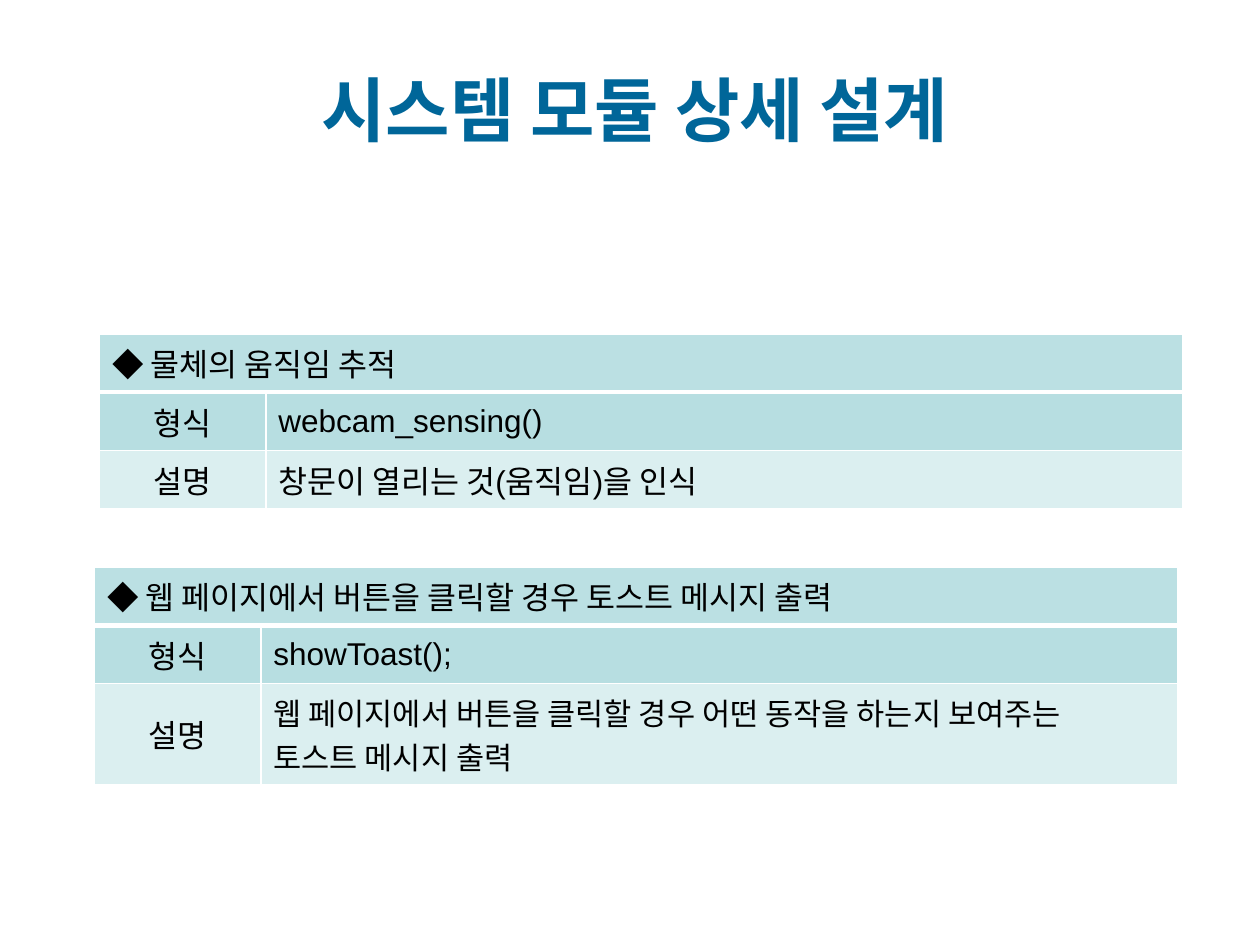
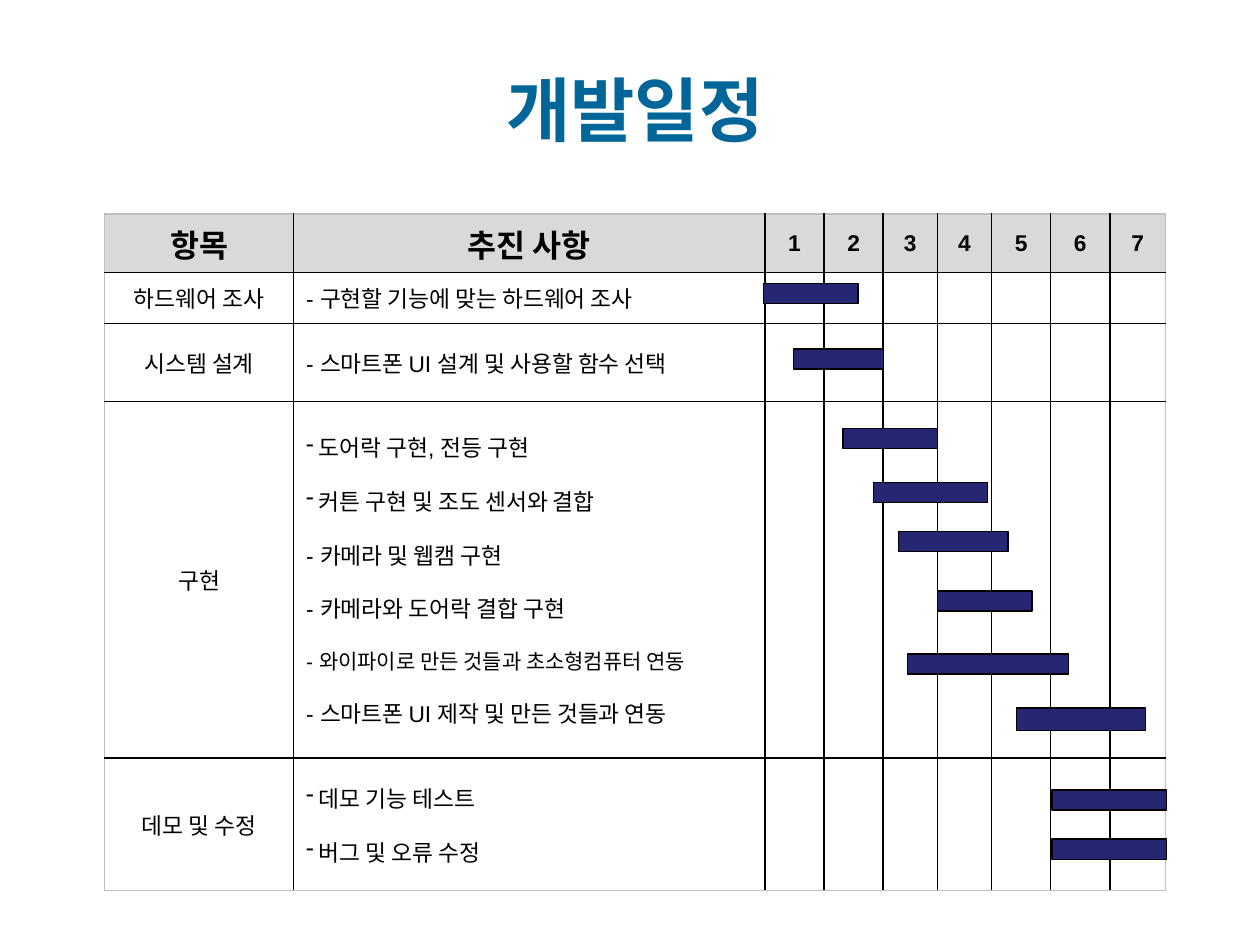
from dataclasses import dataclass
from typing import Optional

from lxml.etree import SubElement
from pptx import Presentation
from pptx.dml.color import RGBColor
from pptx.enum.shapes import MSO_SHAPE as Shape
from pptx.enum.text import MSO_ANCHOR as Anchor, MSO_AUTO_SIZE as AutoSize, PP_ALIGN as Align
from pptx.oxml.ns import qn
from pptx.util import Emu, Pt

PX = 9144
TITLE_FONT = "League Spartan"
BODY_FONT = "Arial"
TITLE_BLUE = RGBColor(0x00, 0x66, 0x99)
BLACK = RGBColor(0x00, 0x00, 0x00)
WHITE = RGBColor(0xFF, 0xFF, 0xFF)
EDGE_GRAY = RGBColor(0xBF, 0xBF, 0xBF)
HEADER_GRAY = RGBColor(0xD9, 0xD9, 0xD9)
BAR_NAVY = RGBColor(0x26, 0x26, 0x73)
TEAL_HEADING = RGBColor(0xBB, 0xE0, 0xE3)
TEAL_DARK = RGBColor(0xB7, 0xDE, 0xE1)
TEAL_LIGHT = RGBColor(0xDB, 0xEF, 0xF0)


@dataclass(frozen=True)
class Line:
    text: str
    size: float = 13
    bulleted: bool = False


@dataclass(frozen=True)
class Module:
    left: int
    top: int
    heading: str
    form: str
    description: tuple[Line, ...]
    heights: tuple[int, ...]


@dataclass(frozen=True)
class Phase:
    name: str
    tasks: tuple[Line, ...]
    height: int


@dataclass(frozen=True)
class Bar:
    left: int
    top: int
    width: int
    height: int = 16


MODULES = (
    Module(79, 265, "◆ 물체의 움직임 추적", "webcam_sensing()",
           (Line("창문이 열리는 것(움직임)을 인식", 18),), (46, 46, 46)),
    Module(75, 450, "◆ 웹 페이지에서 버튼을 클릭할 경우 토스트 메시지 출력", "showToast();",
           (Line("웹 페이지에서 버튼을 클릭할 경우 어떤 동작을 하는지 보여주는", 17.5),
            Line("토스트 메시지 출력", 17.5)), (46, 46, 80)),
)
MODULE_COLUMNS = (132, 728)

PHASES = (
    Phase("하드웨어 조사", (Line("- 구현할 기능에 맞는 하드웨어 조사"),), 40),
    Phase("시스템 설계", (Line("- 스마트폰 UI 설계 및 사용할 함수 선택"),), 62),
    Phase("구현", (
        Line("도어락 구현, 전등 구현", bulleted=True),
        Line("커튼 구현 및 조도 센서와 결합", bulleted=True),
        Line("- 카메라 및 웹캠 구현"),
        Line("- 카메라와 도어락 결합 구현"),
        Line("- 와이파이로 만든 것들과 초소형컴퓨터 연동", 12),
        Line("- 스마트폰 UI 제작 및 만든 것들과 연동"),
    ), 283),
    Phase("데모 및 수정", (
        Line("데모 기능 테스트", bulleted=True),
        Line("버그 및 오류 수정", bulleted=True),
    ), 105),
)
SCHEDULE_COLUMNS = (150, 374, 47, 47, 43, 43, 47, 47, 44)
BARS = (
    Bar(606, 225, 75), Bar(630, 277, 71), Bar(669, 340, 75), Bar(693, 383, 91),
    Bar(713, 422, 87), Bar(744, 469, 75), Bar(720, 519, 128),
    Bar(807, 562, 102, 18), Bar(835, 627, 91), Bar(835, 666, 91),
)


def px(length: int) -> Emu:
    return Emu(length * PX)


def write(para, text: str, *, size: float = 18, font: str = BODY_FONT,
          color: RGBColor = BLACK, bold: bool = False, align=Align.LEFT) -> None:
    para.alignment = align
    span = para.add_run()
    span.text = text
    span.font.name = font
    span.font.size = Pt(size)
    span.font.bold = bold
    span.font.color.rgb = color


def add_bullet(para, indent: int = 10) -> None:
    properties = para._p.get_or_add_pPr()
    properties.set("marL", str(px(indent)))
    properties.set("indent", str(-px(indent)))
    SubElement(properties, qn("a:buChar")).set("char", "-")


def write_lines(cell, lines: tuple[Line, ...], gap: float = 0) -> None:
    frame = cell.text_frame
    for index, line in enumerate(lines):
        para = frame.add_paragraph() if index else frame.paragraphs[0]
        if line.bulleted:
            add_bullet(para)
        if index and gap:
            para.space_before = Pt(gap)
        write(para, line.text, size=line.size)


def style_cell(cell, borders: dict[str, tuple[RGBColor, float]],
               fill: Optional[RGBColor] = None) -> None:
    properties = cell._tc.get_or_add_tcPr()
    for side in "LRTB":
        color, width = borders[side]
        border = SubElement(properties, qn(f"a:ln{side}"))
        border.set("w", str(Pt(width)))
        solid = SubElement(border, qn("a:solidFill"))
        SubElement(solid, qn("a:srgbClr")).set("val", str(color))
    cell.vertical_anchor = Anchor.MIDDLE
    if fill is None:
        cell.fill.background()
    else:
        cell.fill.solid()
        cell.fill.fore_color.rgb = fill


def add_grid(page, left: int, top: int, columns: tuple[int, ...], rows: tuple[int, ...]):
    table = page.shapes.add_table(len(rows), len(columns), px(left), px(top),
                                  px(sum(columns)), px(sum(rows))).table
    table.first_row = table.horz_banding = False
    for column, width in zip(table.columns, columns):
        column.width = px(width)
    for row, height in zip(table.rows, rows):
        row.height = px(height)
    return table


def add_page(deck, title: str):
    page = deck.slides.add_slide(deck.slide_layouts[5])
    box = page.shapes.title
    box.left, box.top, box.width, box.height = map(px, (58, 30, 892, 112))
    frame = box.text_frame
    frame.auto_size = AutoSize.NONE
    frame.vertical_anchor = Anchor.MIDDLE
    write(frame.paragraphs[0], title, size=40, font=TITLE_FONT, color=TITLE_BLUE,
          bold=True, align=Align.CENTER)
    return page


def add_module(page, module: Module) -> None:
    table = add_grid(page, module.left, module.top, MODULE_COLUMNS, module.heights)
    for row, fill in enumerate((TEAL_HEADING, TEAL_DARK, TEAL_LIGHT)):
        borders = {side: (WHITE, 1) for side in "LRTB"}
        if row == 0:
            borders["B"] = (WHITE, 3)
        elif row == 1:
            borders["T"] = (WHITE, 3)
        for column in range(len(MODULE_COLUMNS)):
            style_cell(table.cell(row, column), borders, fill)
    table.cell(0, 0).merge(table.cell(0, 1))
    write_lines(table.cell(0, 0), (Line(module.heading, 18),))
    for row, label in enumerate(("형식", "설명"), start=1):
        write(table.cell(row, 0).text_frame.paragraphs[0], label, align=Align.CENTER)
    write_lines(table.cell(1, 1), (Line(module.form, 18),))
    write_lines(table.cell(2, 1), module.description)


def add_schedule(page) -> None:
    heights = (46, *(phase.height for phase in PHASES))
    table = add_grid(page, 83, 170, SCHEDULE_COLUMNS, heights)
    last_row, last_column = len(heights) - 1, len(SCHEDULE_COLUMNS) - 1
    for row in range(last_row + 1):
        for column in range(last_column + 1):
            outer = {"L": column == 0, "R": column == last_column,
                     "T": row == 0, "B": row == last_row}
            borders = {side: (EDGE_GRAY if edge else BLACK, 1) for side, edge in outer.items()}
            style_cell(table.cell(row, column), borders, None if row else HEADER_GRAY)
    for column, label in enumerate(("항목", "추진 사항", *map(str, range(1, 8)))):
        write(table.cell(0, column).text_frame.paragraphs[0], label,
              size=18 if column < 2 else 13, bold=True, align=Align.CENTER)
    for row, phase in enumerate(PHASES, start=1):
        write(table.cell(row, 0).text_frame.paragraphs[0], phase.name,
              size=13, align=Align.CENTER)
        write_lines(table.cell(row, 1), phase.tasks, gap=12)


def add_bar(page, bar: Bar) -> None:
    box = page.shapes.add_shape(Shape.RECTANGLE, px(bar.left), px(bar.top),
                                px(bar.width), px(bar.height))
    box.shadow.inherit = False
    box.fill.solid()
    box.fill.fore_color.rgb = BAR_NAVY
    box.line.color.rgb = BLACK
    box.line.width = Pt(0.75)


def main() -> None:
    deck = Presentation()
    deck.slide_width, deck.slide_height = px(1000), px(750)
    design = add_page(deck, "시스템 모듈 상세 설계")
    for module in MODULES:
        add_module(design, module)
    plan = add_page(deck, "개발일정")
    add_schedule(plan)
    for bar in BARS:
        add_bar(plan, bar)
    deck.save("out.pptx")


if __name__ == "__main__":
    main()
